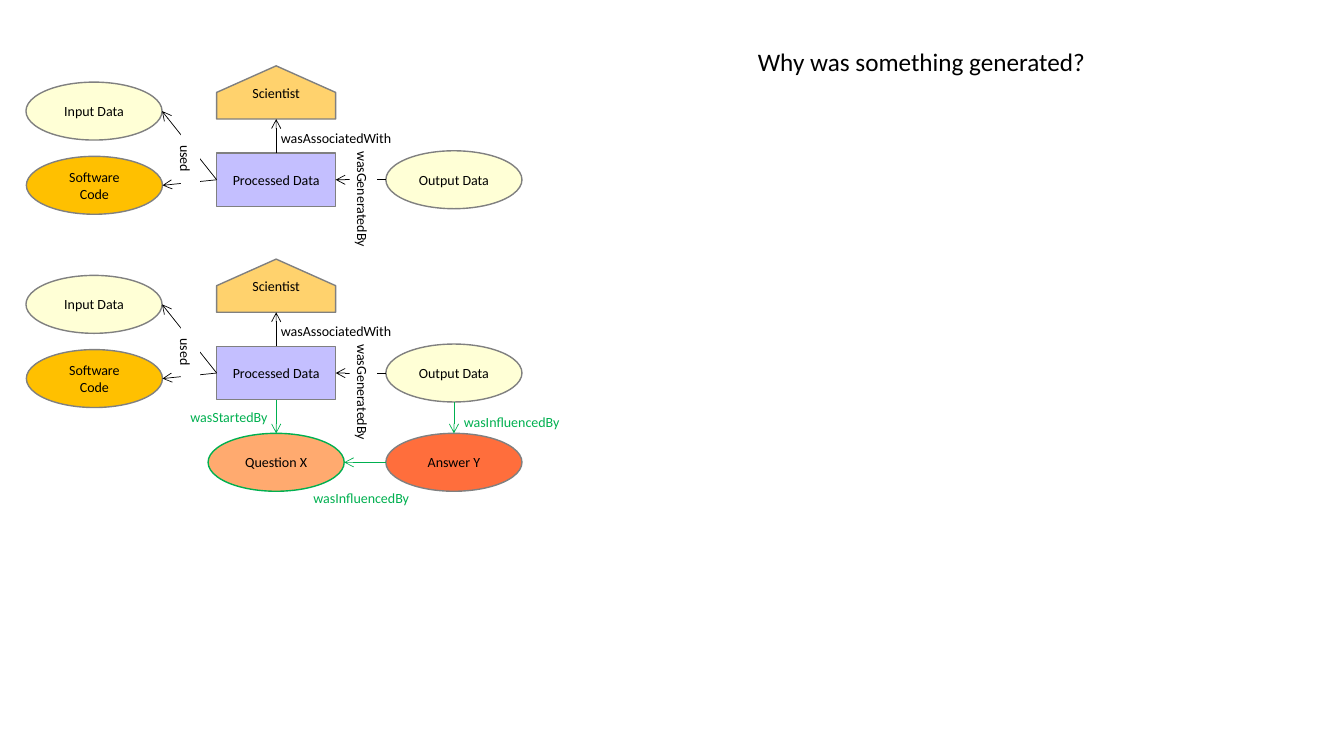
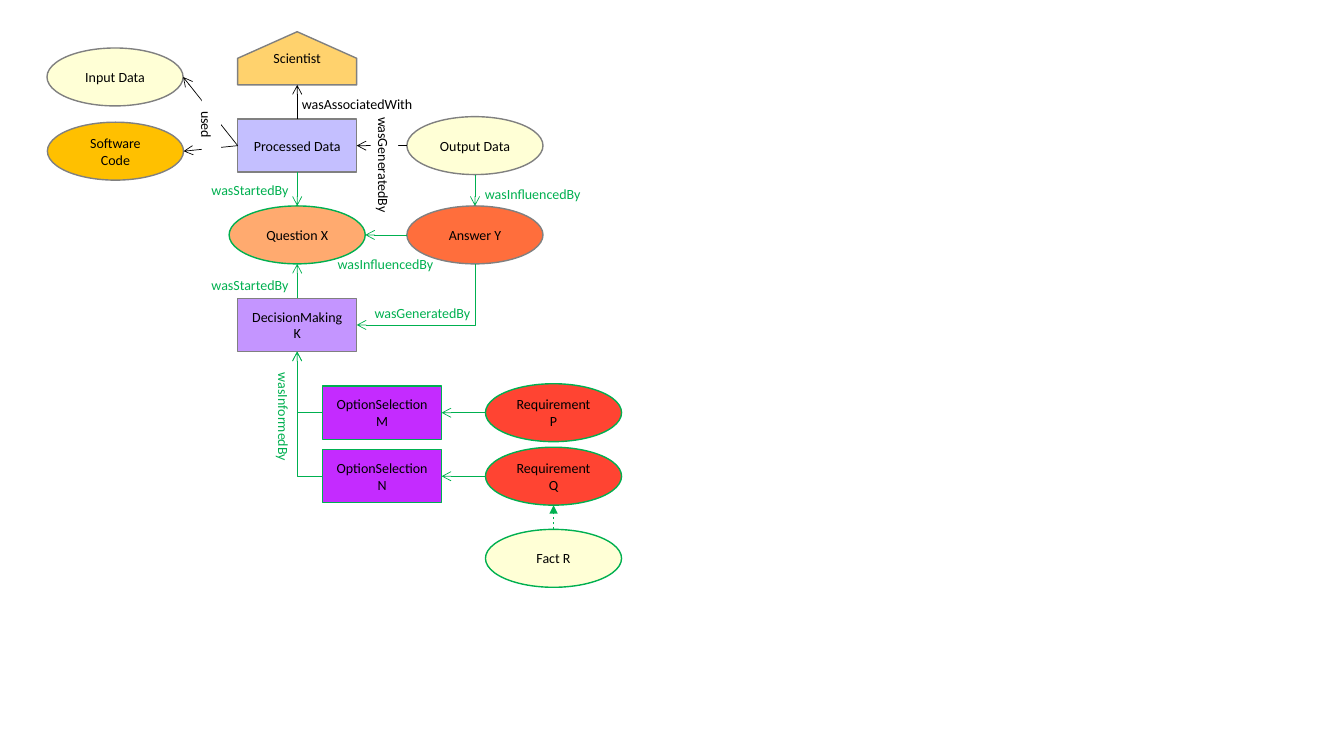
"""Build two slides of provenance graphs, from a plain run to a full decision trail."""
import lxml.etree
import pptx
import pptx.dml.color
import pptx.enum.dml
import pptx.enum.shapes
import pptx.enum.text
import pptx.oxml.ns
import pptx.util

Cm, Pt = pptx.util.Cm, pptx.util.Pt
qn = pptx.oxml.ns.qn
MSO_SHAPE = pptx.enum.shapes.MSO_SHAPE
CENTER, LEFT = pptx.enum.text.PP_ALIGN.CENTER, pptx.enum.text.PP_ALIGN.LEFT
MIDDLE, TOP = pptx.enum.text.MSO_ANCHOR.MIDDLE, pptx.enum.text.MSO_ANCHOR.TOP

theme = {
    "font": "Calibri", "body": Pt(10), "heading": Pt(18),
    "outline": Pt(1), "link": Pt(0.5),
    "colours": {name: pptx.dml.color.RGBColor.from_string(value) for name, value in {
        "black": "000000", "white": "FFFFFF", "grey": "808080", "green": "00B050",
        "data": "FFFFD6", "code": "FFC000", "agent": "FFD26D", "activity": "C4BFFF",
        "question": "FFAA6F", "answer": "FF6E3C", "decision": "C495FF",
        "option": "C42BFF", "requirement": "FF4432"}.items()},
}
colours = theme["colours"]

node_text = {"frame": {"word_wrap": True, "vertical_anchor": MIDDLE},
             "paragraph": {"alignment": CENTER}}
heading_text = {"frame": {"word_wrap": False, "vertical_anchor": TOP},
                "paragraph": {"alignment": LEFT}}
label_spacing = {"line_spacing": 1.05, "space_after": Pt(8)}
label_kinds = {
    "plain": {"align": CENTER, "inset": Cm(0), "colour": "black", "patch": False},
    "patch": {"align": CENTER, "inset": Cm(0), "colour": "black", "patch": True},
    "trace": {"align": LEFT, "inset": Cm(0.25), "colour": "green", "patch": False},
}
link_kinds = {
    "run": {"colour": "black", "tip": ("tailEnd", "arrow")},
    "trace": {"colour": "green", "tip": ("tailEnd", "arrow")},
    "support": {"colour": "green", "tip": ("tailEnd", "triangle"), "dashed": True},
    "elbow": {"colour": "green", "tip": ("tailEnd", "arrow"), "bent": True},
    "elbow back": {"colour": "green", "tip": ("headEnd", "arrow"), "bent": True},
}
outlines = {
    "ellipse": {"preset": MSO_SHAPE.OVAL, "size": (3.43, 1.46),
                "sites": {"top": 0, "left": 2, "bottom": 4, "right": 6}},
    "box": {"preset": MSO_SHAPE.RECTANGLE, "size": (3, 1.34),
            "sites": {"top": 0, "left": 1, "bottom": 2, "right": 3}},
    "house": {"size": (3, 1.34), "sites": {}},
}
sides = {"top": (0, -0.5), "left": (-0.5, 0), "bottom": (0, 0.5), "right": (0.5, 0)}

run = {
    "nodes": [
        ("Input Data", "ellipse", 2.37, 2.8, "data", "grey"),
        ("Software Code", "ellipse", 2.38, 4.67, "code", "grey"),
        ("Processed Data", "box", 6.96, 4.53, "activity", "grey"),
        ("Output Data", "ellipse", 11.44, 4.53, "data", "grey"),
        ("Scientist", "house", 6.96, 2.33, "agent", "grey")],
    "links": [
        ("Processed Data", "top", "Scientist", "bottom", "run"),
        ("Processed Data", "left", "Input Data", "right", "run"),
        ("Processed Data", "left", "Software Code", "right", "run"),
        ("Output Data", "left", "Processed Data", "right", "run")],
    "labels": [
        ("wasAssociatedWith", 6.97, 3.12, 3, 0.69, 0, "plain"),
        ("used", 3.51, 3.76, 2.57, 0.48, 90, "patch"),
        ("wasGeneratedBy", 7.87, 4.67, 2.57, 0.69, 90, "patch")],
}
inquiry = {
    "nodes": [
        ("Question X", "ellipse", 6.96, 6.78, "question", "green"),
        ("Answer Y", "ellipse", 11.44, 6.78, "answer", "grey")],
    "links": [
        ("Processed Data", "bottom", "Question X", "top", "trace"),
        ("Answer Y", "left", "Question X", "right", "trace"),
        ("Output Data", "bottom", "Answer Y", "top", "trace")],
    "labels": [
        ("wasInfluencedBy", 11.44, 5.4, 2.9, 0.58, 0, "trace"),
        ("wasStartedBy", 4.55, 5.28, 2.4, 0.53, 0, "trace")],
}
conclusion = {
    "nodes": [], "links": [],
    "labels": [("wasInfluencedBy", 7.65, 7.32, 2.9, 0.58, 0, "trace")],
}
decision = {
    "nodes": [
        ("DecisionMaking K", "box", 6.96, 9.05, "decision", "grey"),
        ("OptionSelection M", "box", 9.1, 11.26, "option", "green"),
        ("OptionSelection N", "box", 9.1, 12.86, "option", "green"),
        ("Requirement P", "ellipse", 13.42, 11.26, "requirement", "green"),
        ("Requirement Q", "ellipse", 13.42, 12.86, "requirement", "green"),
        ("Fact R", "ellipse", 13.42, 14.93, "data", "green")],
    "links": [
        ("DecisionMaking K", "top", "Question X", "bottom", "trace"),
        ("OptionSelection M", "left", "DecisionMaking K", "bottom", "elbow"),
        ("OptionSelection N", "left", "DecisionMaking K", "bottom", "elbow"),
        ("Requirement P", "left", "OptionSelection M", "right", "trace"),
        ("Requirement Q", "left", "OptionSelection N", "right", "trace"),
        ("Fact R", "top", "Requirement Q", "bottom", "support"),
        ("DecisionMaking K", "right", "Answer Y", "bottom", "elbow back")],
    "labels": [
        ("wasInfluencedBy", 7.73, 7.16, 2.9, 0.58, 0, "trace"),
        ("wasGeneratedBy", 8.66, 8.4, 2.9, 0.74, 0, "trace"),
        ("wasStartedBy", 4.55, 7.69, 2.4, 0.53, 0, "trace"),
        ("wasInformedBy", 5.34, 11.07, 2.7, 0.58, 90, "trace")],
}
slide_graphs = [
    [(0, 0, [run]), (0, 4.87, [run, inquiry, conclusion])],
    [(0.53, -0.86, [run, inquiry, decision])],
]


def assign(target, values):
    """Set each named attribute of the target."""
    for name, value in values.items():
        setattr(target, name, value)


def write(holder, text, layout, size, colour):
    """Put one formatted paragraph into a shape."""
    frame = holder.text_frame
    assign(frame, layout["frame"])
    paragraph = frame.paragraphs[0]
    assign(paragraph, layout["paragraph"])
    words = paragraph.add_run()
    words.text = text
    assign(words.font, {"name": theme["font"], "size": size})
    words.font.color.rgb = colours[colour]


deck = pptx.Presentation()
assign(deck, {"slide_width": Cm(33.87), "slide_height": Cm(19.05)})

for graphs in slide_graphs:
    slide = deck.slides.add_slide(deck.slide_layouts[6])
    for across, down, stages in graphs:
        placed = {}
        for stage in stages:
            for text, outline, x, y, fill, edge in stage["nodes"]:
                width, height = outlines[outline]["size"]
                x, y = x + across, y + down
                left, top = x - width / 2, y - height / 2
                if outline == "house":
                    builder = slide.shapes.build_freeform(Cm(x), Cm(top))
                    corners = [(left + width, y), (left + width, top + height),
                               (left, top + height), (left, y)]
                    builder.add_line_segments([(Cm(a), Cm(b)) for a, b in corners])
                    node = builder.convert_to_shape()
                else:
                    node = slide.shapes.add_shape(
                        outlines[outline]["preset"], Cm(left), Cm(top), Cm(width), Cm(height))
                node.shadow.inherit = False
                node.fill.solid()
                node.fill.fore_color.rgb = colours[fill]
                node.line.color.rgb = colours[edge]
                node.line.width = theme["outline"]
                write(node, text, node_text, theme["body"], "black")
                placed[text] = (node, outlines[outline], x, y)

            for source, source_side, target, target_side, kind in stage["links"]:
                look = link_kinds[kind]
                ends, glue = [], []
                for name, side, tag in ((source, source_side, "a:stCxn"),
                                        (target, target_side, "a:endCxn")):
                    node, outline, x, y = placed[name]
                    width, height = outline["size"]
                    step_x, step_y = sides[side]
                    ends += [Cm(x + step_x * width), Cm(y + step_y * height)]
                    if side in outline["sites"]:
                        glue.append((tag, node.shape_id, outline["sites"][side]))
                link = slide.shapes.add_connector(
                    pptx.enum.shapes.MSO_CONNECTOR.STRAIGHT, *ends)
                link.line.color.rgb = colours[look["colour"]]
                link.line.width = theme["link"]
                if look.get("dashed"):
                    link.line.dash_style = pptx.enum.dml.MSO_LINE.DASH
                properties = link._element.spPr
                if look.get("bent"):
                    properties.find(qn("a:prstGeom")).set("prst", "bentConnector2")
                tip_end, tip = look["tip"]
                lxml.etree.SubElement(properties.find(qn("a:ln")), qn("a:" + tip_end), type=tip)
                lxml.etree.SubElement(properties, qn("a:effectLst"))
                joints = link._element.find(".//" + qn("p:cNvCxnSpPr"))
                for tag, node_id, site in glue:
                    lxml.etree.SubElement(joints, qn(tag), id=str(node_id), idx=str(site))

            for text, left, top, width, height, turn, kind in stage["labels"]:
                look = label_kinds[kind]
                label = slide.shapes.add_textbox(
                    Cm(left + across), Cm(top + down), Cm(width), Cm(height))
                label.rotation = turn
                if look["patch"]:
                    label.fill.solid()
                    label.fill.fore_color.rgb = colours["white"]
                layout = {"frame": {"margin_left": look["inset"], "margin_right": Cm(0),
                                    **heading_text["frame"]},
                          "paragraph": {"alignment": look["align"], **label_spacing}}
                write(label, text, layout, theme["body"], look["colour"])

heading = deck.slides[0].shapes.add_textbox(Cm(18.85), Cm(1.05), Cm(8.86), Cm(1.02))
write(heading, "Why was something generated?", heading_text, theme["heading"], "black")

deck.save("out.pptx")
